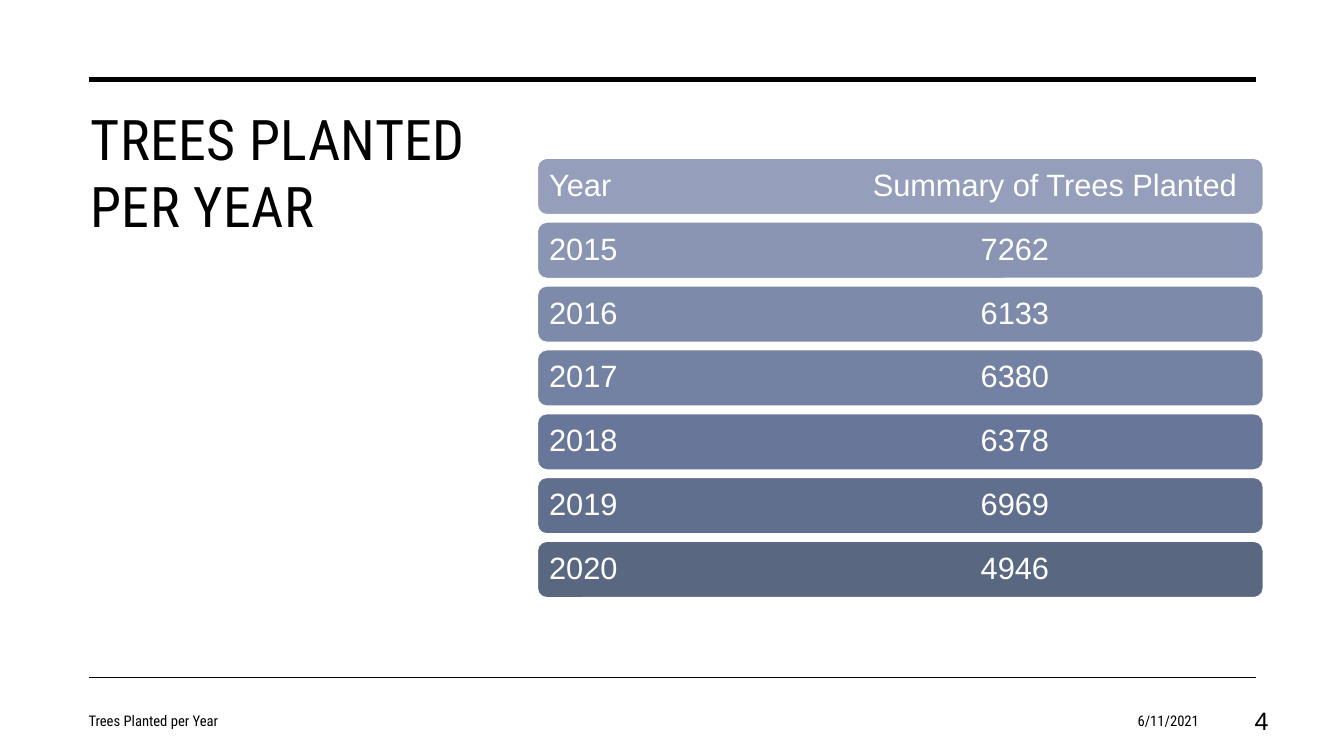
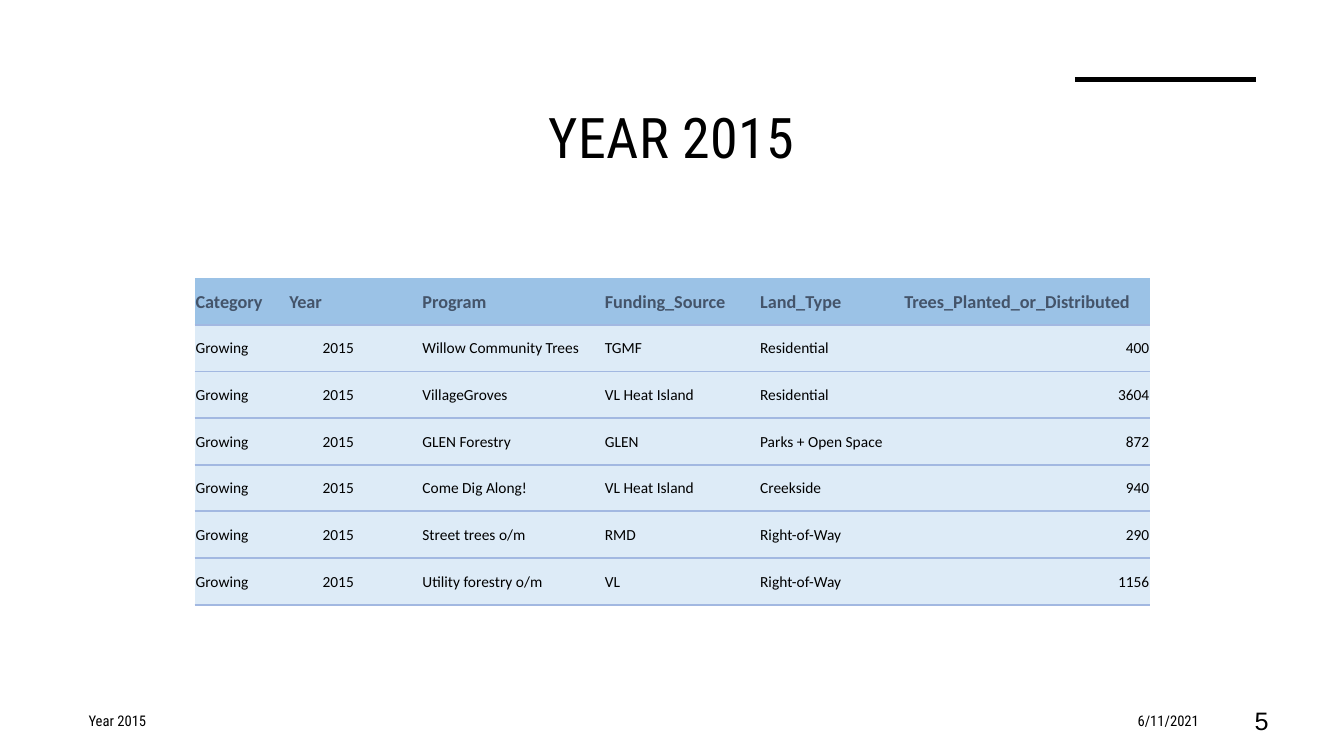
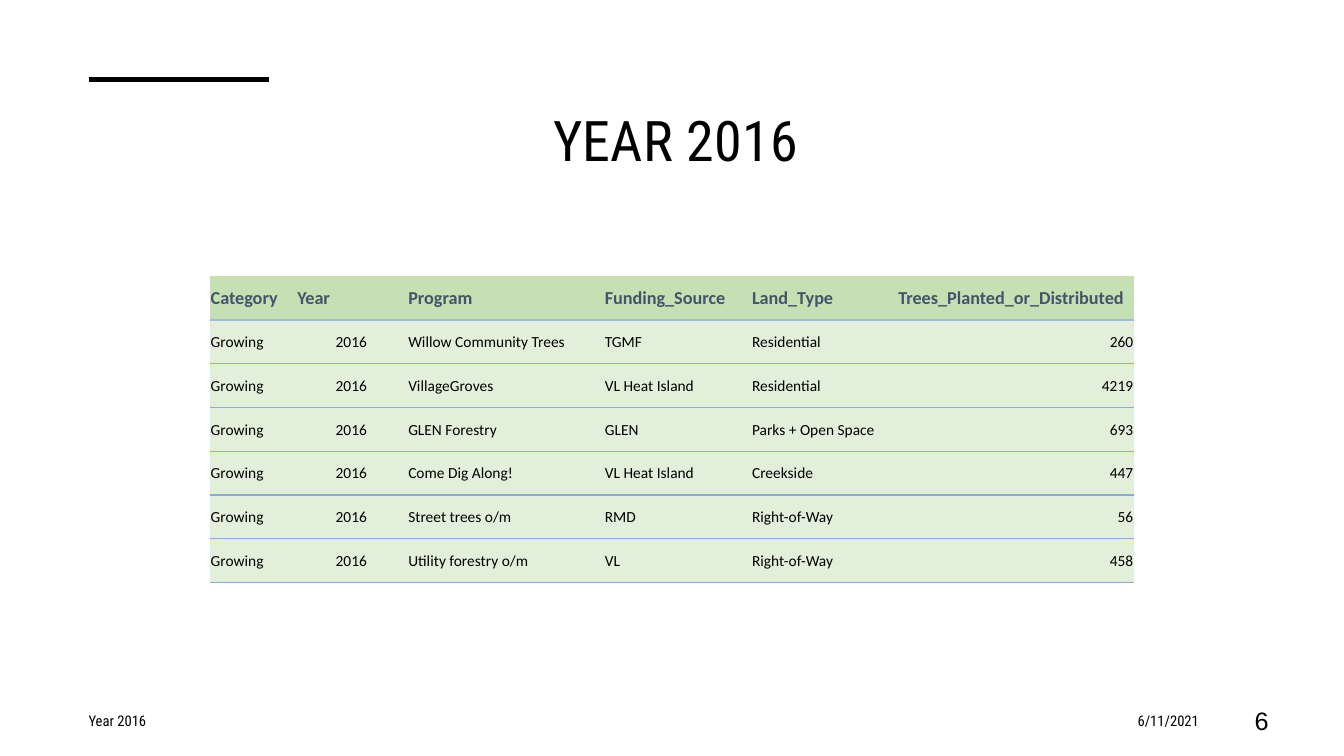
"""Build three slides on trees planted per year."""
from pptx import Presentation
from pptx.dml.color import RGBColor as Rgb
from pptx.enum.shapes import MSO_CONNECTOR as Link, MSO_SHAPE as Form
from pptx.enum.text import MSO_ANCHOR as Anchor, PP_ALIGN as Align
from pptx.oxml import parse_xml
from pptx.oxml.ns import nsdecls, qn
from pptx.util import Pt

PX = 9144
THEME = {
    "ink": "000000", "paper": "FFFFFF", "head": "44546A",
    "bars": ["959EBB", "8A94B3", "7E8AAA", "7381A2", "687799", "606F8D", "596781"],
    "title": {"name": "Roboto Condensed", "size": Pt(40)},
    "foot": {"name": "Roboto Condensed", "size": Pt(10.5)},
    "page": {"name": "Arial", "size": Pt(18)},
    "bar": {"name": "Arial", "size": Pt(22)},
    "top": {"name": "Calibri", "size": Pt(13), "bold": True},
    "cell": {"name": "Calibri", "size": Pt(11), "bold": False},
}
PLAIN = "{2D5ABB26-0587-4C30-8999-92F81FD0307C}"
DATE = "6/11/2021"
TOTALS = [
    ("Year", "Summary of Trees Planted"), ("2015", "7262"), ("2016", "6133"),
    ("2017", "6380"), ("2018", "6378"), ("2019", "6969"), ("2020", "4946"),
]
HEADS = ["Category", "Year", "", "Program", "Funding_Source", "Land_Type",
         "Trees_Planted_or_Distributed"]
PLANS = [
    ("Willow Community Trees", "TGMF", "Residential"),
    ("VillageGroves", "VL Heat Island", "Residential"),
    ("GLEN Forestry", "GLEN", "Parks + Open Space"),
    ("Come Dig Along!", "VL Heat Island", "Creekside"),
    ("Street trees o/m", "RMD", "Right-of-Way"),
    ("Utility forestry o/m", "VL", "Right-of-Way"),
]
SLIDES = [
    {"title": "Trees Planted per Year", "page": "4", "box": (80, 99, 400, 482),
     "align": Align.LEFT, "rules": [(88, 1246, 79, 3.5), (88, 1246, 672, 1)]},
    {"title": "Year 2015", "page": "5", "box": (76, 97, 1181, 115),
     "align": Align.CENTER, "rules": [(1066, 1246, 79, 3.5)],
     "table": {"year": "2015", "counts": [400, 3604, 872, 940, 290, 1156],
               "at": (193, 276), "high": 324, "cols": [93, 66, 66, 181, 154, 143, 245],
               "fills": ("9BC2E6", "DDEBF7"), "edge": ("A2B8E1", 1.5)}},
    {"title": "Year 2016", "page": "6", "box": (76, 100, 1189, 96),
     "align": Align.CENTER, "rules": [(88, 267, 79, 3.5)],
     "table": {"year": "2016", "counts": [260, 4219, 693, 447, 56, 458],
               "at": (208, 274), "high": 304, "cols": [86, 71, 39, 195, 146, 145, 235],
               "fills": ("C6E0B4", "E2EFDA"), "edge": ("8EA9DB", 1)}},
]
HEAD_EDGE = ("A2B8E1", 1.5)


def emu(*nums):
    return [round(n * PX) for n in nums]


def apply(item, form):
    for key, val in form.items():
        setattr(item, key, val)


def paint(fill, tone):
    fill.solid()
    fill.fore_color.rgb = Rgb.from_string(tone)


def write(frame, text, style, tone, align=Align.LEFT):
    para = frame.paragraphs[0]
    para.alignment = align
    run = para.add_run()
    run.text = text
    apply(run.font, THEME[style])
    run.font.color.rgb = Rgb.from_string(tone)
    return para, run


def label(slide, box, text, style, align=Align.LEFT, anchor=Anchor.MIDDLE):
    frame = slide.shapes.add_textbox(*emu(*box)).text_frame
    apply(frame, {"word_wrap": True, "vertical_anchor": anchor})
    return write(frame, text, style, THEME["ink"], align)


def rule(slide, left, right, y, width):
    line = slide.shapes.add_connector(Link.STRAIGHT, *emu(left, y, right, y))
    line.line.width = Pt(width)
    paint(line.line.fill, THEME["ink"])
    line._element.spPr.append(parse_xml(f"<a:effectLst {nsdecls('a')}/>"))


def base(deck, page):
    slide = deck.slides.add_slide(deck.slide_layouts[6])
    for spot in page["rules"]:
        rule(slide, *spot)
    _, run = label(slide, page["box"], page["title"].upper(), "title",
                   page["align"], Anchor.TOP)
    run.font._element.set("spc", "30")
    label(slide, (78, 695, 496, 40), page["title"], "foot")
    label(slide, (915, 695, 284, 40), DATE, "foot", Align.RIGHT)
    label(slide, (1194, 695, 74, 40), page["page"], "page", Align.RIGHT)
    return slide


def stack(slide):
    for i, (pair, tone) in enumerate(zip(TOTALS, THEME["bars"])):
        y = 157 + i * 380 / (len(TOTALS) - 1)
        bar = slide.shapes.add_shape(Form.ROUNDED_RECTANGLE, *emu(533, y, 720, 56))
        bar.shadow.inherit = False
        paint(bar.fill, tone)
        paint(bar.line.fill, THEME["paper"])
        bar.line.width = Pt(1)
        side = 9 * PX
        apply(bar.text_frame, {"margin_left": side, "margin_right": side,
                               "vertical_anchor": Anchor.MIDDLE, "word_wrap": True})
        para, _ = write(bar.text_frame, "\t".join(pair), "bar", THEME["paper"])
        para.line_spacing = 0.9
        stop = (428 if i else 321) * PX
        para._p.get_or_add_pPr().append(parse_xml(
            f'<a:tabLst {nsdecls("a")}><a:tab pos="{stop}" algn="l"/></a:tabLst>'))


def border(cell, side, edge):
    tone, width = edge
    cell._tc.get_or_add_tcPr().insert(0, parse_xml(
        f'<a:{side} {nsdecls("a")} w="{Pt(width)}"><a:solidFill>'
        f'<a:srgbClr val="{tone}"/></a:solidFill></a:{side}>'))


def grid(slide, data):
    rows = [HEADS] + [["Growing", data["year"], "", *plan, str(count)]
                      for plan, count in zip(PLANS, data["counts"])]
    cols, high = data["cols"], data["high"]
    frame = slide.shapes.add_table(len(rows), len(cols),
                                   *emu(*data["at"], sum(cols), high))
    table = frame.table
    apply(table, {"first_row": False, "horz_banding": False})
    table._tbl.tblPr.find(qn("a:tableStyleId")).text = PLAIN
    for col, wide in zip(table.columns, cols):
        col.width = wide * PX
    for row in table.rows:
        row.height = round(high * PX / len(rows))
    for r, row in enumerate(rows):
        for c, text in enumerate(row):
            cell = table.cell(r, c)
            apply(cell, {"margin_left": PX, "margin_right": PX, "margin_top": PX,
                         "margin_bottom": 0, "vertical_anchor": Anchor.MIDDLE})
            paint(cell.fill, data["fills"][min(r, 1)])
            border(cell, "lnB", data["edge"] if r else HEAD_EDGE)
            if r:
                border(cell, "lnT", data["edge"] if r > 1 else HEAD_EDGE)
            if text:
                right = r and c in (1, len(cols) - 1)
                write(cell.text_frame, text, "cell" if r else "top",
                      THEME["ink" if r else "head"],
                      Align.RIGHT if right else Align.LEFT)


def main():
    deck = Presentation()
    deck.slide_width, deck.slide_height = emu(1333, 750)
    for page in SLIDES:
        slide = base(deck, page)
        if "table" in page:
            grid(slide, page["table"])
        else:
            stack(slide)
    deck.save("out.pptx")


if __name__ == "__main__":
    main()
